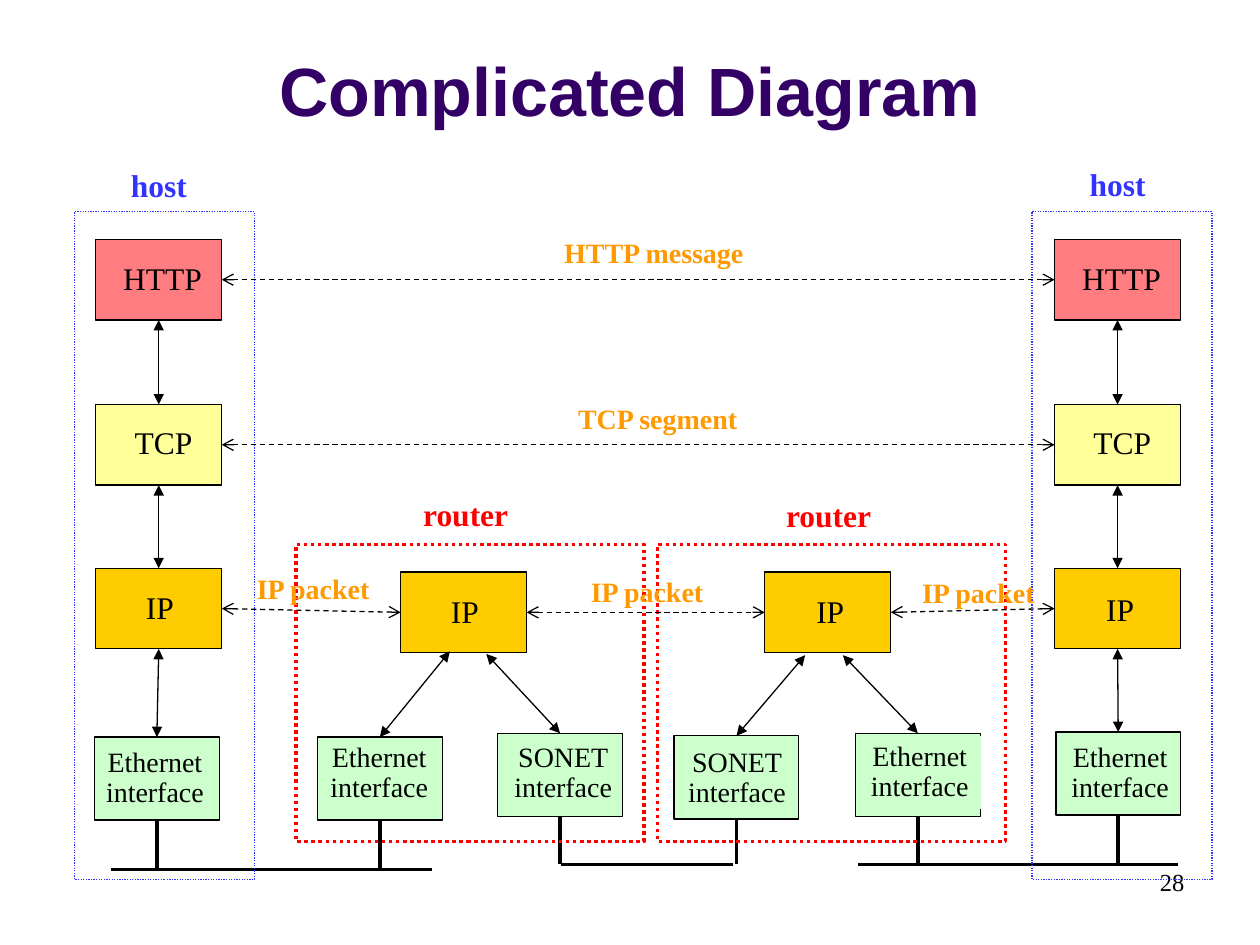
from lxml import etree
from pptx import Presentation
from pptx.dml.color import RGBColor
from pptx.enum.dml import MSO_LINE
from pptx.enum.shapes import MSO_CONNECTOR, MSO_SHAPE
from pptx.enum.text import MSO_ANCHOR, MSO_AUTO_SIZE, PP_ALIGN
from pptx.oxml.ns import qn
from pptx.util import Inches, Pt

RECT = MSO_SHAPE.RECTANGLE
LINE = MSO_CONNECTOR.STRAIGHT
DOT, DASH = MSO_LINE.ROUND_DOT, MSO_LINE.DASH
LEFT, MID, RIGHT = PP_ALIGN.LEFT, PP_ALIGN.CENTER, PP_ALIGN.RIGHT
TOP, LOW = MSO_ANCHOR.TOP, MSO_ANCHOR.BOTTOM
FIT, FIXED = MSO_AUTO_SIZE.SHAPE_TO_FIT_TEXT, MSO_AUTO_SIZE.NONE
UP, WEST, DOWN, EAST = range(4)

COLOR = {
    "title": "330066", "ink": "000000", "host": "3333FF", "router": "FF0000",
    "note": "FF9900", "HTTP": "FF7C80", "TCP": "FFFF99", "IP": "FFCC00",
    "Ethernet": "CCFFCC", "SONET": "CCFFCC",
}
LAYER = {"HTTP": (0.83, 0.4), "TCP": (0.66, 0.4), "IP": (0.42, 0.4),
         "Ethernet": (0.98, 0.58), "SONET": (0.98, 0.58)}

# name: (layer, box left, box top, label left, label top)
BOXES = {
    "http1": ("HTTP", 0.76, 1.9, 0.88, 2.01),
    "tcp1": ("TCP", 0.76, 3.21, 0.97, 3.31),
    "ip1": ("IP", 0.76, 4.51, 1.06, 4.62),
    "eth1": ("Ethernet", 0.75, 5.85, 0.74, 5.89),
    "http2": ("HTTP", 8.37, 1.9, 8.49, 2.01),
    "tcp2": ("TCP", 8.37, 3.21, 8.58, 3.31),
    "ip2": ("IP", 8.37, 4.51, 8.68, 4.63),
    "eth2": ("Ethernet", 8.38, 5.81, 8.4, 5.85),
    "hop1": ("IP", 3.18, 4.54, 3.48, 4.65),
    "hop2": ("IP", 6.07, 4.54, 6.38, 4.65),
    "port1": ("Ethernet", 2.52, 5.85, 2.52, 5.85),
    "port2": ("SONET", 3.95, 5.82, 3.98, 5.85),
    "port3": ("SONET", 5.35, 5.84, 5.36, 5.89),
    "port4": ("Ethernet", 6.79, 5.82, 6.81, 5.84),
}
STACKS = [["http1", "tcp1", "ip1", "eth1"], ["http2", "tcp2", "ip2", "eth2"]]
PEERS = [("http1", "http2"), ("tcp1", "tcp2"), ("ip1", "hop1"),
         ("hop1", "hop2"), ("hop2", "ip2")]
FORKS = [(3.57, 5.17, "port1"), (3.86, 5.19, "port2"),
         (6.39, 5.2, "port3"), (6.69, 5.2, "port4")]
# wire left, right, height, boxes on it
WIRES = [(0.88, 3.43, 6.9, ["eth1", "port1"]),
         (4.45, 5.82, 6.86, ["port2", "port3"]),
         (6.81, 9.35, 6.86, ["port4", "eth2"])]
FRAMES = [("host", 0.59, 1.68, 1.43, 5.3, 0.75),
          ("host", 8.19, 1.68, 1.43, 5.3, 0.75),
          ("router", 2.35, 4.32, 2.76, 2.36, 2),
          ("router", 5.22, 4.32, 2.76, 2.36, 2)]
HEADS = [("host", 0.94, 1.27, 0.65), ("host", 8.55, 1.26, 0.65),
         ("router", 3.26, 3.88, 0.88), ("router", 6.14, 3.89, 0.88)]
NOTES = [("HTTP message", 4.38, 1.82, 1.64), ("TCP segment", 4.49, 3.14, 1.48),
         ("IP packet", 1.94, 4.49, 1.11), ("IP packet", 4.59, 4.51, 1.11),
         ("IP packet", 7.22, 4.52, 1.11)]

deck = Presentation()
deck.slide_width, deck.slide_height = Inches(10), Inches(7.5)
slide = deck.slides.add_slide(deck.slide_layouts[6])
shapes = slide.shapes


def rgb(key):
    return RGBColor.from_string(COLOR[key])


def text(words, x, y, w, h, size=18, color="ink", font="Times New Roman",
         bold=False, align=LEFT, space=None, anchor=TOP, wrap=False, fill=None):
    box = shapes.add_textbox(*map(Inches, (x, y, w, h)))
    if fill:
        box.fill.solid()
        box.fill.fore_color.rgb = rgb(fill)
    frame = box.text_frame
    frame.word_wrap = wrap
    frame.auto_size = FIXED if wrap else FIT
    frame.vertical_anchor = anchor
    for i, words_line in enumerate(words.split("\n")):
        para = frame.add_paragraph() if i else frame.paragraphs[0]
        para.alignment = align
        if space:
            para.line_spacing = space
        run = para.add_run()
        run.text = words_line
        run.font.name, run.font.size, run.font.bold = font, Pt(size), bold
        run.font.color.rgb = rgb(color)


def rect(x, y, w, h, fill=None, line="ink", width=0.75, dash=None):
    box = shapes.add_shape(RECT, *map(Inches, (x, y, w, h)))
    box.shadow.inherit = False
    if fill:
        box.fill.solid()
        box.fill.fore_color.rgb = rgb(fill)
    else:
        box.fill.background()
    box.line.color.rgb, box.line.width = rgb(line), Pt(width)
    if dash:
        box.line.dash_style = dash
    return box


def spot(name, side):
    box = made[name]
    across = {WEST: 0, EAST: box.width}.get(side, box.width // 2)
    down = {UP: 0, DOWN: box.height}.get(side, box.height // 2)
    return box.left + across, box.top + down


def link(start, end, width=0.75, dash=None, tip=None):
    ends = [spot(*e) if isinstance(e[0], str) else e for e in (start, end)]
    line = shapes.add_connector(LINE, *ends[0], *ends[1])
    for e, join in ((start, line.begin_connect), (end, line.end_connect)):
        if isinstance(e[0], str):
            join(made[e[0]], e[1])
    line.line.color.rgb, line.line.width = rgb("ink"), Pt(width)
    if dash:
        line.line.dash_style = dash
    if tip:
        for tag in ("a:headEnd", "a:tailEnd"):
            etree.SubElement(line.line._get_or_add_ln(), qn(tag), type=tip)
    etree.SubElement(line._element.spPr, qn("a:effectLst"))


text("Complicated Diagram", 0, 0.13, 10, 0.95, size=39, color="title",
     font="Arial", bold=True, align=MID, anchor=LOW, wrap=True)
text("28", 7.17, 6.83, 2.33, 0.5, size=14, align=RIGHT, wrap=True)

made = {}
for name, (layer, x, y, tx, ty) in BOXES.items():
    port = layer in ("Ethernet", "SONET")
    made[name] = rect(x, y, *((0.99, 0.66) if port else (1, 0.64)), fill=layer)
    if port:
        text(layer + "\ninterface", tx, ty, *LAYER[layer], size=16, align=MID,
             space=0.9, fill=layer if name == "port4" else None)
    else:
        text(layer, tx, ty, *LAYER[layer])

for stack in STACKS:
    for over, under in zip(stack, stack[1:]):
        link((over, DOWN), (under, UP), tip="triangle")
for x, y, port in FORKS:
    link((Inches(x), Inches(y)), (port, UP), tip="triangle")
for x1, x2, y, ports in WIRES:
    link((Inches(x1), Inches(y)), (Inches(x2), Inches(y)), width=2)
    for port in ports:
        link((port, DOWN), (spot(port, DOWN)[0], Inches(y)), width=2)
for kind, x, y, w, h, width in FRAMES:
    rect(x, y, w, h, line=kind, width=width, dash=DOT)
for a, b in PEERS:
    link((a, EAST), (b, WEST), dash=DASH, tip="arrow")
for kind, x, y, w in HEADS:
    text(kind, x, y, w, 0.4, color=kind, bold=True)
for words, x, y, w in NOTES:
    text(words, x, y, w, 0.37, size=16, color="note", bold=True)

deck.save("out.pptx")
